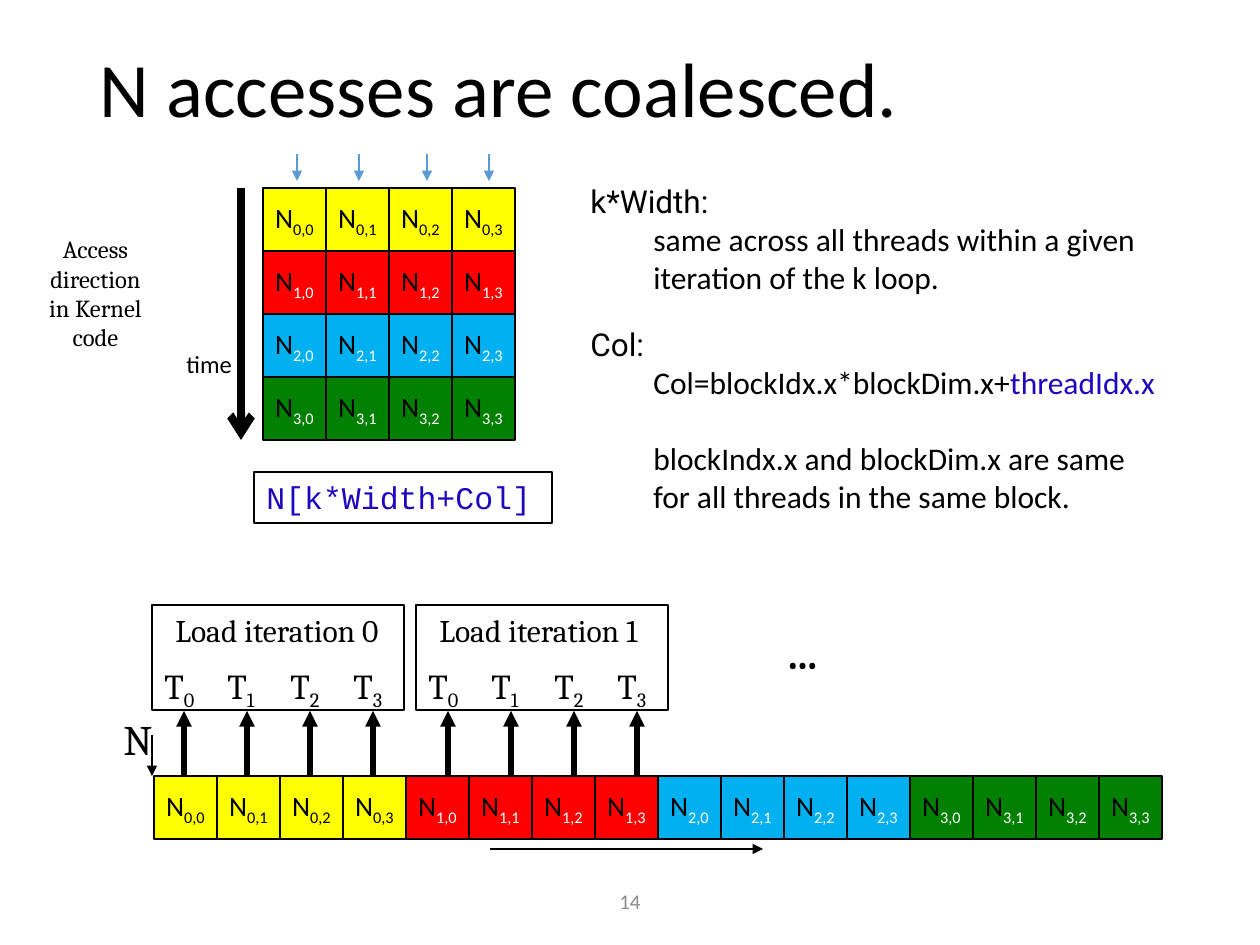
from dataclasses import dataclass
from lxml.etree import SubElement
from pptx import Presentation
from pptx.dml.color import RGBColor as RGB
from pptx.enum.shapes import MSO_CONNECTOR as Link, MSO_SHAPE as Shape
from pptx.enum.text import MSO_ANCHOR as Anchor, MSO_AUTO_SIZE as Fit, PP_ALIGN as Align
from pptx.oxml.ns import qn
from pptx.util import Emu, Pt

DPI = 126
CELL = 63
ROWS = COLS = 4


def px(n):
    return Emu(round(n * 914400 / DPI))


@dataclass(frozen=True)
class Theme:
    black: str = "000000"
    white: str = "FFFFFF"
    gray: str = "8C8C8C"
    code: str = "1D07BF"
    blue: str = "5B9BD5"
    rows: tuple = ("FFFF00", "FF0000", "00B0F0", "008000")
    sans: str = "Calibri"
    serif: str = "Cambria"
    mono: str = "Courier New"
    head: str = "Roboto"
    title: int = 44
    big: int = 24
    thread: int = 20
    body: int = 18
    cell: int = 16
    note: int = 14
    page: int = 12


class Deck:
    def __init__(self, theme):
        self.theme = theme
        self.prs = Presentation()
        self.prs.slide_width, self.prs.slide_height = px(1260), px(945)
        self.slide = self.prs.slides.add_slide(self.prs.slide_layouts[6])

    def run(self, para, text, size, name=None, color=None, bold=None, sub=False):
        run = para.add_run()
        run.text = text
        values = {"size": Pt(size), "name": name or self.theme.sans, "bold": bold}
        for key, value in values.items():
            setattr(run.font, key, value)
        run.font.color.rgb = RGB.from_string(color or self.theme.black)
        if sub:
            run.font._element.set("baseline", "-25000")

    def fill(self, frame, paras, wrap=True, grow=True, anchor=Anchor.TOP):
        """Write paras, a list of (runs, paragraph format) pairs, into a frame."""
        values = {
            "word_wrap": wrap,
            "auto_size": Fit.SHAPE_TO_FIT_TEXT if grow else Fit.NONE,
            "vertical_anchor": anchor,
        }
        for key, value in values.items():
            setattr(frame, key, value)
        for i, (runs, form) in enumerate(paras):
            para = frame.add_paragraph() if i else frame.paragraphs[0]
            for key, value in {"alignment": Align.LEFT, **form}.items():
                setattr(para, key, value)
            if para.level:
                para._p.get_or_add_pPr().set("marL", str(px(CELL)))
            for run in runs:
                self.run(para, **run)

    def text(self, box, paras, **frame):
        shape = self.slide.shapes.add_textbox(*map(px, box))
        self.fill(shape.text_frame, paras, **frame)

    def label(self, box, text, size, name=None, color=None, bold=None, form=None, **frame):
        run = dict(text=text, size=size, name=name, color=color, bold=bold)
        self.text(box, [([run], form or {})], **frame)

    def rect(self, box, fill=None, paras=(), **frame):
        shape = self.slide.shapes.add_shape(Shape.RECTANGLE, *map(px, box))
        shape.shadow.inherit = False
        if fill:
            shape.fill.solid()
            shape.fill.fore_color.rgb = RGB.from_string(fill)
        else:
            shape.fill.background()
        shape.line.color.rgb = RGB.from_string(self.theme.black)
        shape.line.width = Pt(0.75)
        if paras:
            self.fill(shape.text_frame, paras, **frame)

    def arrow(self, x1, y1, x2, y2, width=0.75, color=None, head="triangle"):
        link = self.slide.shapes.add_connector(Link.STRAIGHT, *map(px, (x1, y1, x2, y2)))
        link.line.color.rgb = RGB.from_string(color or self.theme.black)
        link.line.width = Pt(width)
        SubElement(link.line._get_or_add_ln(), qn("a:tailEnd"), type=head)
        SubElement(link._element.spPr, qn("a:effectLst"))

    def cell(self, x, y, row, col):
        """One matrix element, coloured by its row."""
        look = self.theme
        runs = [
            dict(text="N", size=look.cell),
            dict(text=f"{row},{col}", size=look.cell, sub=True,
                 color=look.white if row else look.black),
        ]
        self.rect((x, y, CELL, CELL), look.rows[row], [(runs, {"alignment": Align.CENTER})],
                  wrap=False, grow=False, anchor=Anchor.MIDDLE)

    def load(self, x, step):
        """One load iteration: frame, threads and the arrows feeding them."""
        look = self.theme
        self.label((x + 11, 605, 228, 50), f"Load iteration {step}", look.body, look.serif,
                   wrap=False)
        for i in range(COLS):
            left = x + i * CELL
            runs = [
                dict(text="T", size=look.thread, name=look.serif),
                dict(text=str(i), size=look.thread, name=look.serif, sub=True),
            ]
            self.text((left, 658, 59, 55), [(runs, {})], wrap=False)
            self.arrow(left + 32, 776, left + 32, 711, 3)
        self.rect((x, 605, COLS * CELL, 105))


def main():
    look = Theme()
    deck = Deck(look)
    mid = {"alignment": Align.CENTER}

    deck.label((87, 1, 1086, 183), "N accesses are coalesced.", look.title,
               form={"line_spacing": 0.9}, grow=False, anchor=Anchor.MIDDLE)
    deck.label((417, 876, 426, 50), "14", look.page, color=look.gray, form=mid,
               grow=False, anchor=Anchor.MIDDLE)

    # Matrix and its linear layout in memory
    for row in range(ROWS):
        for col in range(COLS):
            deck.cell(263 + col * CELL, 188 + row * CELL, row, col)
            deck.cell(154 + (row * COLS + col) * CELL, 776, row, col)
    for x in (297, 359, 427, 489):
        deck.arrow(x, 154, x, 181, 1.5, look.blue)
    deck.arrow(241, 188, 241, 440, 4.5, head="arrow")
    deck.label((174, 343, 87, 43), "time", look.note)
    deck.label((34, 228, 123, 161), "Access direction in Kernel code", look.note,
               look.serif, form=mid)
    access = dict(text="N[k*Width+Col]", size=look.body, name=look.mono, color=look.code)
    deck.rect((254, 472, 298, 51), paras=[([access], {})])

    # Loads from memory
    for step, x in enumerate((152, 416)):
        deck.load(x, step)
    deck.label((774, 621, 67, 63), "…", look.big, look.serif, bold=True, wrap=False)
    deck.label((111, 707, 57, 63), "N", look.big, look.serif, wrap=False)
    deck.arrow(152, 735, 152, 776)
    deck.arrow(490, 849, 763, 849)

    # Explanation of the index terms
    def line(text, **style):
        return dict(text=text, size=look.body, **style)

    inner = {"level": 1}
    deck.text((578, 176, 595, 127), [
        ([line("k*Width:", name=look.head)], {}),
        ([line("same across all threads within a given iteration of the k loop.")], inner),
    ])
    deck.text((578, 319, 595, 204), [
        ([line("Col:", name=look.head)], {}),
        ([line("Col=blockIdx.x*blockDim.x+"), line("threadIdx.x", color=look.code)], inner),
        ([line("blockIndx.x and blockDim.x are same for all threads in the same block.")],
         {**inner, "space_before": Pt(22)}),
    ])
    deck.prs.save("out.pptx")


if __name__ == "__main__":
    main()
